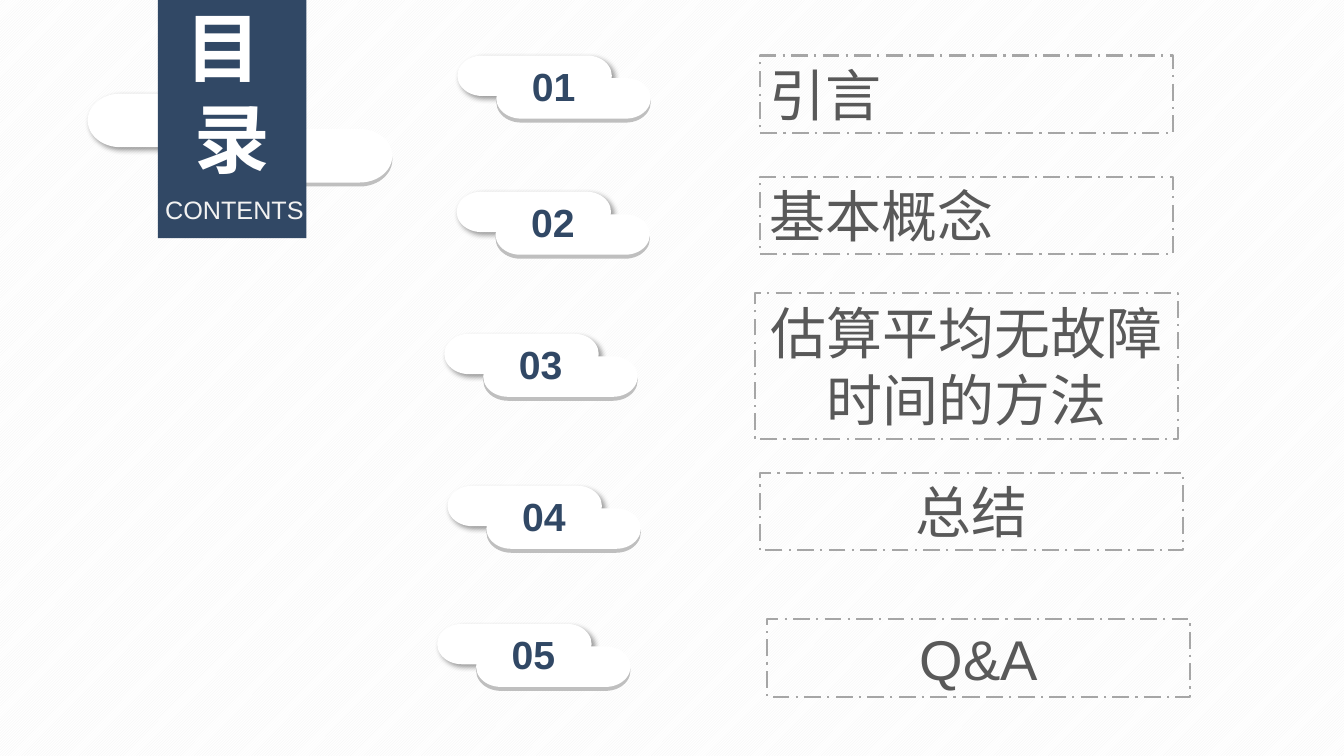
"""Build a contents slide with five numbered entries."""
from lxml import etree
from pptx import Presentation
from pptx import util as u
from pptx.dml.color import RGBColor
from pptx.enum import dml, shapes, text
from pptx.oxml.ns import qn

HUES = {"navy": "314865", "white": "FFFFFF", "pale": "F2F2F2",
        "shade": "BFBFBF", "edge": "A6A6A6", "ink": "595959", "black": "000000"}
MID, TOP = text.MSO_ANCHOR.MIDDLE, text.MSO_ANCHOR.TOP
MAIN, JUST = text.PP_ALIGN.CENTER, text.PP_ALIGN.JUSTIFY


def cloud(home, x, y, wide, high, dx, dy):
    """Draw a two-part cloud in a new group and return the group."""
    group = home.add_group_shape()
    parts = [(x + dx, y + dy + 0.1, "shade", False),
             (x, y, "white", True),
             (x + dx, y + dy, "white", False)]
    for left, top, hue, cast in parts:
        pill = group.shapes.add_shape(shapes.MSO_SHAPE.FLOWCHART_TERMINATOR,
                                      u.Cm(left), u.Cm(top), u.Cm(wide), u.Cm(high))
        pill.fill.solid()
        pill.fill.fore_color.rgb = RGBColor.from_string(HUES[hue])
        pill.line.fill.background()
        pill.shadow.inherit = False
        if cast:
            glow = etree.SubElement(pill._element.spPr.find(qn("a:effectLst")),
                                    qn("a:outerShdw"), blurRad=str(u.Pt(4)),
                                    dist=str(u.Pt(3)), dir="2700000",
                                    algn="tl", rotWithShape="0")
            tint = etree.SubElement(glow, qn("a:srgbClr"), val=HUES["black"])
            etree.SubElement(tint, qn("a:alpha"), val="40000")
    return group


def write(box, lines, size, hue, bold=False, align=MAIN, anchor=TOP, inset=None):
    """Fill a box with one paragraph per line."""
    frame = box.text_frame
    frame.word_wrap = True
    frame.auto_size = text.MSO_AUTO_SIZE.SHAPE_TO_FIT_TEXT
    frame.vertical_anchor = anchor
    if inset is not None:
        frame.margin_left = frame.margin_right = u.Cm(inset)
        frame.margin_top = frame.margin_bottom = u.Cm(inset)
    for i, line in enumerate(lines):
        para = frame.add_paragraph() if i else frame.paragraphs[0]
        para.alignment = align
        run = para.add_run()
        run.text = line
        run.font.name = "Arial"
        run.font.size = u.Pt(size)
        run.font.bold = bold
        run.font.color.rgb = RGBColor.from_string(HUES[hue])


deck = Presentation()
deck.slide_width, deck.slide_height = u.Cm(33.87), u.Cm(19.05)
slide = deck.slides.add_slide(deck.slide_layouts[6])
back = slide.background.fill
back.patterned()
back.pattern = dml.MSO_PATTERN.LIGHT_UPWARD_DIAGONAL
back.fore_color.rgb = RGBColor.from_string(HUES["pale"])
back.back_color.rgb = RGBColor.from_string(HUES["white"])

cloud(slide.shapes, 2.21, 2.36, 5.11, 1.35, 2.57, 0.89)
flag = slide.shapes.add_shape(shapes.MSO_SHAPE.RECTANGLE,
                              u.Cm(3.98), 0, u.Cm(3.74), u.Cm(6))
flag.fill.solid()
flag.fill.fore_color.rgb = RGBColor.from_string(HUES["navy"])
flag.line.fill.background()
flag.shadow.inherit = False
title = slide.shapes.add_textbox(u.Cm(3.98), 0, u.Cm(3.74), u.Cm(4.62))
write(title, ["目 ", "录"], 54, "white", bold=True, anchor=MID, inset=0)
label = slide.shapes.add_textbox(u.Cm(4.04), u.Cm(4.9), u.Cm(3.74), u.Cm(0.77))
write(label, ["CONTENTS"], 18, "pale", anchor=MID, inset=0)

items = [("引言", JUST, 11.53, 1.4, 19.15, 1.4, 10.41, 1.96),
         ("基本概念", JUST, 11.51, 4.83, 19.15, 4.45, 10.41, 1.96),
         ("估算平均无故障时间的方法", MAIN, 11.2, 8.41, 19.02, 7.39, 10.67, 3.68),
         ("总结", MAIN, 11.28, 12.24, 19.15, 11.91, 10.67, 1.96),
         ("Q&A", MAIN, 11.02, 15.72, 19.33, 15.6, 10.67, 1.96)]
for num, (name, align, x, y, left, top, wide, high) in enumerate(items, 1):
    group = cloud(slide.shapes, x, y, 3.89, 1.02, 0.98, 0.57)
    mark = group.shapes.add_textbox(u.Cm(x + 1.46), u.Cm(y + 0.05), u.Cm(1.93), u.Cm(1.45))
    write(mark, [f"{num:02}"], 28, "navy", bold=True)
    box = slide.shapes.add_shape(shapes.MSO_SHAPE.RECTANGLE,
                                 u.Cm(left), u.Cm(top), u.Cm(wide), u.Cm(high))
    box.fill.background()
    box.line.color.rgb = RGBColor.from_string(HUES["edge"])
    box.line.width = u.Pt(1.5)
    box.line.dash_style = dml.MSO_LINE.LONG_DASH_DOT
    box.shadow.inherit = False
    write(box, [name], 40, "ink", align=align)

deck.save("out.pptx")
